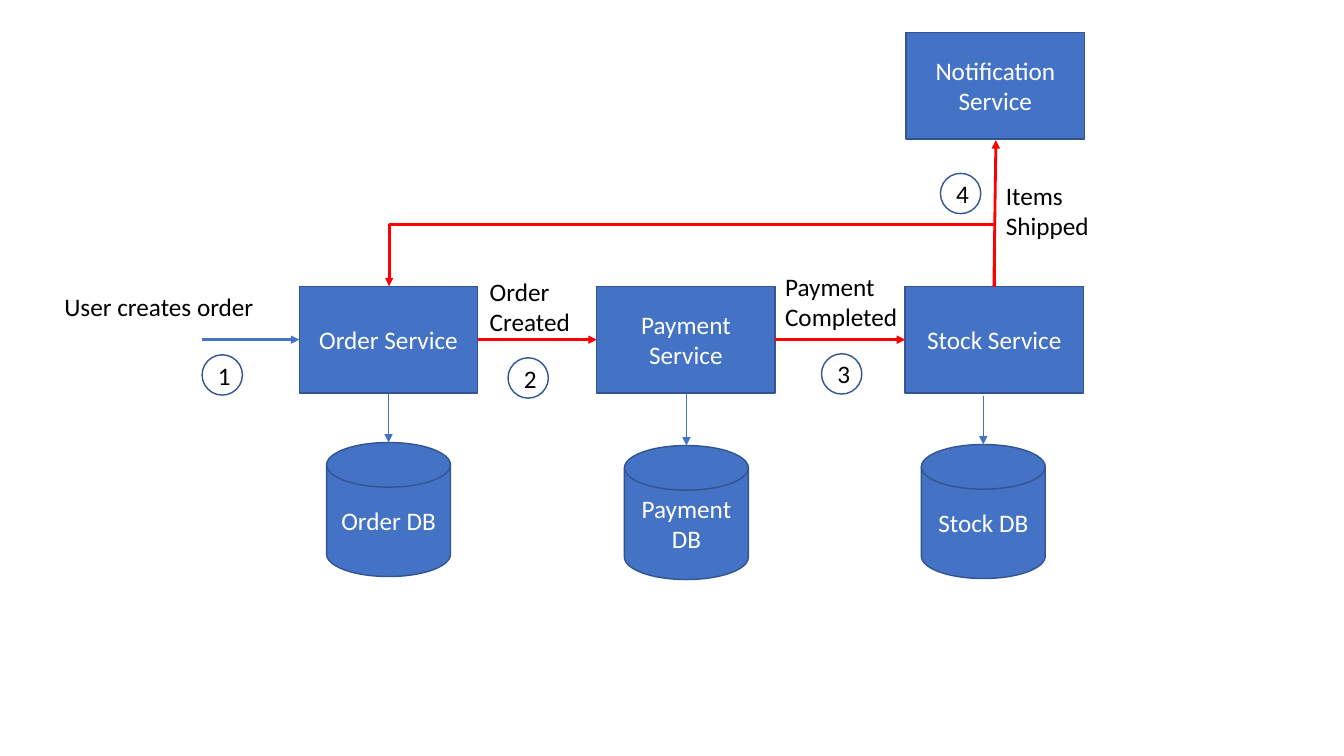
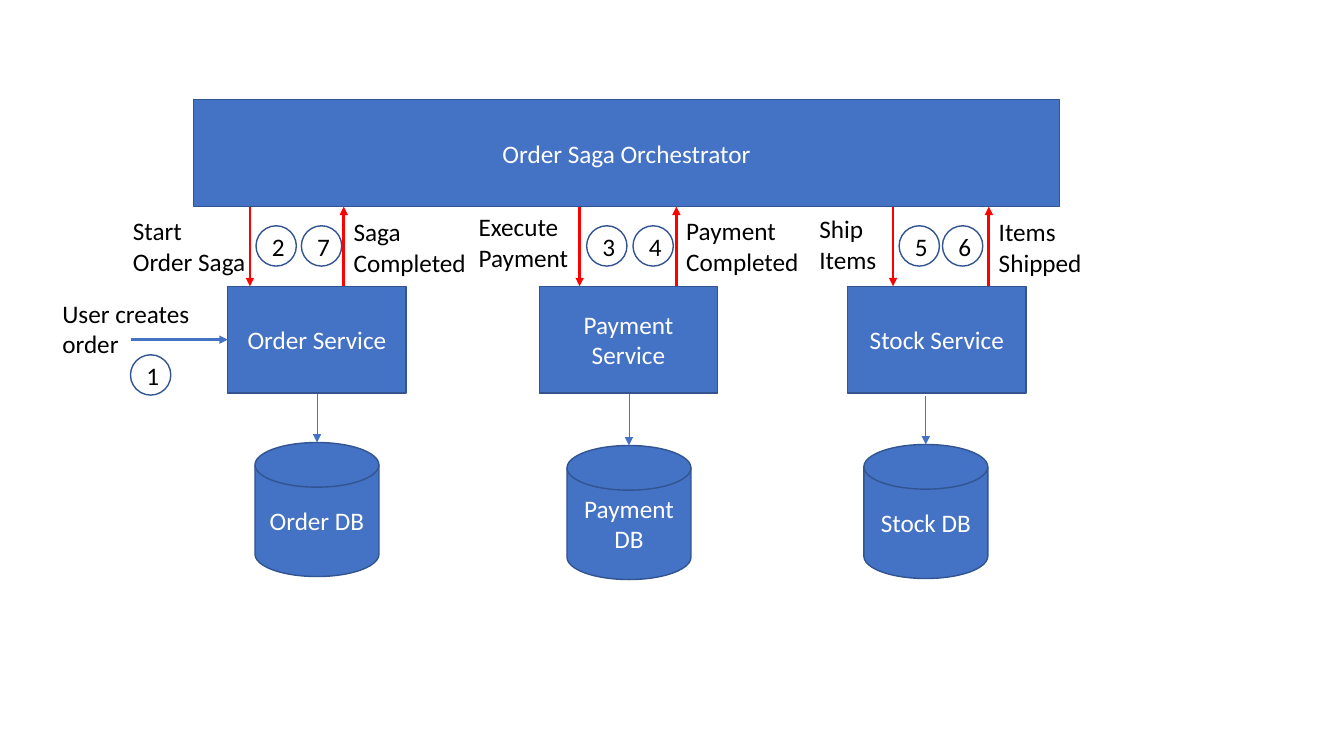
"""Two slides on order sagas: choreography and orchestration."""
import dataclasses

import lxml.etree
import pptx
import pptx.dml.color
import pptx.enum.shapes
import pptx.enum.text
import pptx.oxml.ns
import pptx.util

Preset = pptx.enum.shapes.MSO_SHAPE
Connector = pptx.enum.shapes.MSO_CONNECTOR
qn = pptx.oxml.ns.qn


@dataclasses.dataclass(frozen=True)
class Theme:
    """Colours, type and line widths of both slides."""
    blue: str = "4472C4"
    outline: str = "325491"
    event: str = "FF0000"
    light: str = "FFFFFF"
    dark: str = "000000"
    font: str = "Calibri"
    size: int = 18
    edge: float = 1
    flow: float = 2
    thin: float = 0.5


THEME = Theme()

# All lengths count cells of a square grid, ten cells to the inch.
COLUMNS, ROWS = 133.33, 75
BOX_W, BOX_H = 17.7, 10.6
DB_W, DB_H = 12.3, 13.3
STEP = 4
LABEL_H = 7.1
SERVICE_TOP = 28.4
SERVICE_MIDDLE = SERVICE_TOP + BOX_H / 2

# Service, shift of its database to the right, database top, link start
SERVICES = (
    ("Order", 2.7, 43.9, 39.1),
    ("Payment", 2.75, 44.2, 39.1),
    ("Stock", 1.6, 44.1, 39.3),
)


def cells(count):
    """Turn grid cells into a length."""
    return pptx.util.Inches(count / 10)


def rgb(code):
    """Turn a hex code into a colour."""
    return pptx.dml.color.RGBColor.from_string(code)


def write(frame, text, colour, align):
    """Put text into a frame and format its runs."""
    frame.text = text
    for paragraph in frame.paragraphs:
        paragraph.alignment = align
        for run in paragraph.runs:
            run.font.name = THEME.font
            run.font.size = pptx.util.Pt(THEME.size)
            run.font.color.rgb = rgb(colour)


def node(slide, preset, box, text, fill=THEME.blue, ink=THEME.light):
    """Draw an outlined shape with centred text; box is left, top, width, height."""
    shape = slide.shapes.add_shape(preset, *map(cells, box))
    shape.shadow.inherit = False
    if fill:
        shape.fill.solid()
        shape.fill.fore_color.rgb = rgb(fill)
    else:
        shape.fill.background()
    shape.line.color.rgb = rgb(THEME.outline)
    shape.line.width = pptx.util.Pt(THEME.edge)
    shape.text_frame.vertical_anchor = pptx.enum.text.MSO_ANCHOR.MIDDLE
    write(shape.text_frame, text, ink, pptx.enum.text.PP_ALIGN.CENTER)


def step(slide, left, top, number):
    """Draw a numbered circle."""
    node(slide, Preset.OVAL, (left, top, STEP, STEP), str(number), None, THEME.dark)


def label(slide, left, top, width, text, height=LABEL_H):
    """Place a caption that keeps its own line breaks."""
    caption = slide.shapes.add_textbox(*map(cells, (left, top, width, height)))
    frame = caption.text_frame
    frame.word_wrap = False
    frame.auto_size = pptx.enum.text.MSO_AUTO_SIZE.SHAPE_TO_FIT_TEXT
    write(frame, text, THEME.dark, pptx.enum.text.PP_ALIGN.LEFT)


def arrow(slide, start, end, colour=THEME.event, width=THEME.flow,
          kind=Connector.STRAIGHT):
    """Draw a connector with an arrowhead at its end."""
    link = slide.shapes.add_connector(kind, *map(cells, (*start, *end)))
    link.line.color.rgb = rgb(colour)
    link.line.width = pptx.util.Pt(width)
    properties = link._element.spPr
    lxml.etree.SubElement(properties.find(qn("a:ln")), qn("a:tailEnd"), type="triangle")
    lxml.etree.SubElement(properties, qn("a:effectLst"))
    return link


def return_arrow(slide, start, end, rise):
    """Draw an arrow that rises from start, runs left and drops to end."""
    run, drop = start[0] - end[0], start[1] - end[1]
    middle_x, middle_y = (start[0] + end[0]) / 2, (start[1] + end[1]) / 2
    link = arrow(slide, (middle_x - drop / 2, middle_y + run / 2),
                 (middle_x + drop / 2, middle_y - run / 2), kind=Connector.ELBOW)
    properties = link._element.spPr
    properties.find(qn("a:xfrm")).set("rot", str(270 * 60000))
    geometry = properties.find(qn("a:prstGeom"))
    adjustments = geometry.find(qn("a:avLst"))
    if adjustments is None:
        adjustments = lxml.etree.SubElement(geometry, qn("a:avLst"))
    lxml.etree.SubElement(adjustments, qn("a:gd"), name="adj1",
                          fmla=f"val {round(rise / drop * 100000)}")


def services(slide, lefts):
    """Draw each service above its database."""
    for left, (name, shift, db_top, link_top) in zip(lefts, SERVICES):
        node(slide, Preset.RECTANGLE, (left, SERVICE_TOP, BOX_W, BOX_H), f"{name} Service")
        db_left = left + shift
        node(slide, Preset.FLOWCHART_MAGNETIC_DISK, (db_left, db_top, DB_W, DB_H),
             f"{name} DB")
        middle = db_left + DB_W / 2
        arrow(slide, (middle, link_top), (middle, db_top), THEME.blue, THEME.thin)


def user_request(slide, service_left):
    """Draw the first step, which leads into the order service."""
    start = service_left - 9.65
    arrow(slide, (start, SERVICE_MIDDLE), (service_left, SERVICE_MIDDLE), THEME.blue)
    step(slide, start, 35.2, 1)


def exchange(slide, top, request, reply):
    """Draw a command down to a service and the event that comes back."""
    x, number, step_gap, left, label_top, width, text = request
    arrow(slide, (x, top), (x, SERVICE_TOP))
    step(slide, x + step_gap, 22.4, number)
    label(slide, left, label_top, width, text)
    x, number, step_gap, label_top, width, text = reply
    arrow(slide, (x, SERVICE_TOP), (x, top))
    step(slide, x - step_gap, 22.4, number)
    label(slide, x, label_top, width, text)


def choreography(slide):
    """Services that react to one another's events."""
    lefts = order, payment, stock = 29.7, 59.2, 89.8
    services(slide, lefts)
    user_request(slide, order)
    label(slide, 5.4, 28.4, 21, "User creates order", 4)

    for source, target in ((order, payment), (payment, stock)):
        arrow(slide, (source + BOX_W, SERVICE_MIDDLE), (target, SERVICE_MIDDLE))
    label(slide, 47.6, 26.9, 10.1, "Order\nCreated")
    step(slide, 50.4, 35.5, 2)
    label(slide, 76.9, 26.4, 13.3, "Payment\nCompleted")
    step(slide, 81.5, 35.1, 3)

    notification = 89.9, 3.2, BOX_W, BOX_H
    node(slide, Preset.RECTANGLE, notification, "Notification Service")
    arrow(slide, (98.6, SERVICE_TOP), (98.8, 13.9))
    return_arrow(slide, (98.7, 28.5), (38.6, 28.4), 6.3)
    label(slide, 98.8, 17.4, 10.3, "Items\nShipped")
    step(slide, 93.3, 17.2, 4)


def orchestration(slide):
    """Services steered by a central orchestrator."""
    lefts = 22.6, 53.5, 84.1
    services(slide, lefts)
    user_request(slide, lefts[0])
    label(slide, 5.2, 29.1, 15.3, "User creates\norder")

    top = 9.9
    node(slide, Preset.RECTANGLE, (19.2, top, 85.9, BOX_H), "Order Saga Orchestrator")
    exchanges = (
        ((24.8, 2, 0.6, 12.2, 20.9, 13.3, "Start\nOrder Saga"),
         (34.1, 7, 4.2, 21, 13.3, "Saga\nCompleted")),
        ((57.5, 3, 0.7, 46.5, 20.5, 11, "Execute\nPayment"),
         (67.1, 4, 4.3, 20.9, 13.3, "Payment\nCompleted")),
        ((88.6, 5, 0.6, 80.3, 20.7, 7.7, "Ship\nItems"),
         (98.1, 6, 4.6, 21, 10.3, "Items\nShipped")),
    )
    for request, reply in exchanges:
        exchange(slide, top + BOX_H, request, reply)


def main():
    """Build both slides and save them."""
    deck = pptx.Presentation()
    deck.slide_width, deck.slide_height = cells(COLUMNS), cells(ROWS)
    blank = deck.slide_layouts[6]
    for draw in (choreography, orchestration):
        draw(deck.slides.add_slide(blank))
    deck.save("out.pptx")


main()
